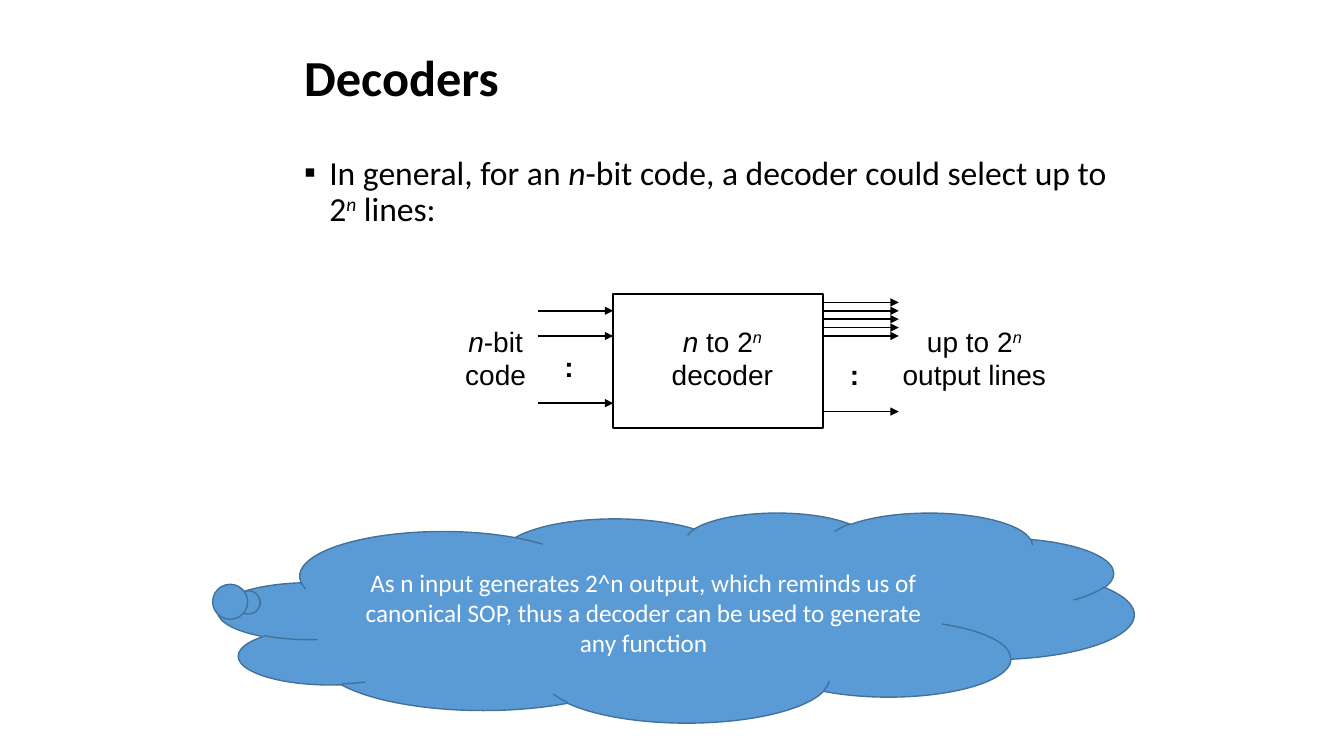
from pptx import Presentation
from pptx.dml.color import RGBColor
from pptx.enum.shapes import MSO_CONNECTOR, MSO_SHAPE
from pptx.enum.text import MSO_ANCHOR, MSO_AUTO_SIZE, PP_ALIGN
from pptx.oxml.ns import qn
from pptx.util import Emu, Pt
from lxml import etree

EMU_PER_PX = 9525
BLACK, WHITE = "000000", "FFFFFF"
CLOUD_BLUE, CLOUD_EDGE = "5B9BD5", "42719B"
HEAD_FONT, DIAGRAM_FONT = "Calibri", "Arial"
LEFT, CENTER = PP_ALIGN.LEFT, PP_ALIGN.CENTER
TOP, MIDDLE = MSO_ANCHOR.TOP, MSO_ANCHOR.MIDDLE
NO_FIT, GROW = MSO_AUTO_SIZE.NONE, MSO_AUTO_SIZE.SHAPE_TO_FIT_TEXT
RECTANGLE, CLOUD = MSO_SHAPE.RECTANGLE, MSO_SHAPE.CLOUD_CALLOUT
STRAIGHT = MSO_CONNECTOR.STRAIGHT
PLAIN, ITALIC, POWER = "plain", "italic", "power"


def px(length):
    """Turn whole pixels into EMU."""
    return Emu(length * EMU_PER_PX)


def paint(color_format, color):
    """Set a fill, line or font colour from a hex string."""
    color_format.rgb = RGBColor.from_string(color)


def place(shape, box):
    """Move a shape to the box (left, top, width, height)."""
    shape.left, shape.top, shape.width, shape.height = map(px, box)


def set_outline(shape, color, width):
    """Give a shape or connector a solid outline."""
    paint(shape.line.fill_format.fore_color if hasattr(shape.line, "fill_format")
          else shape.line.color, color)
    shape.line.width = Pt(width)


def write(shape, lines, font, size, color=BLACK, bold=False, align=LEFT,
          anchor=TOP, fit=NO_FIT, spacing=1.0):
    """Fill a shape with lines, each a list of (text, style) runs."""
    frame = shape.text_frame
    frame.word_wrap = True
    frame.auto_size = fit
    frame.vertical_anchor = anchor
    for index, line in enumerate(lines):
        para = frame.add_paragraph() if index else frame.paragraphs[0]
        para.alignment = align
        para.line_spacing = spacing
        para.space_before = Pt(0)
        for text, style in line:
            span = para.add_run()
            span.text = text
            span.font.name = font
            span.font.size = Pt(size)
            span.font.bold = bold
            span.font.italic = style in (ITALIC, POWER)
            paint(span.font.color, color)
            if style == POWER:
                span.font._element.set("baseline", "30000")


def add_bullet(para, symbol, indent):
    """Hang a black bullet symbol in front of a paragraph."""
    props = para._p.get_or_add_pPr()
    props.set("marL", str(px(indent)))
    props.set("indent", str(-px(indent)))
    bullet_color = etree.SubElement(props, qn("a:buClr"))
    etree.SubElement(bullet_color, qn("a:srgbClr"), val=BLACK)
    etree.SubElement(props, qn("a:buFont"), typeface=DIAGRAM_FONT)
    etree.SubElement(props, qn("a:buChar"), char=symbol)


def add_arrow(group, left, y, length):
    """Draw one signal arrow from left to right."""
    arrow = group.shapes.add_connector(
        STRAIGHT, px(left), px(y), px(left + length), px(y))
    set_outline(arrow, BLACK, 1.25)
    props = arrow._element.spPr
    etree.SubElement(arrow.line._get_or_add_ln(), qn("a:tailEnd"), type="triangle")
    etree.SubElement(props, qn("a:effectLst"))


def add_label(group, box, lines, bold=False, align=CENTER):
    """Add a text label to the diagram."""
    label = group.shapes.add_textbox(*map(px, box))
    write(label, lines, DIAGRAM_FONT, 20, bold=bold, align=align, fit=GROW)


def add_heading(page, box):
    """Set the slide title."""
    title = page.shapes.title
    place(title, box)
    write(title, [[("Decoders", PLAIN)]], HEAD_FONT, 36, bold=True,
          anchor=MIDDLE, spacing=0.9)


def add_statement(page, box):
    """Set the bulleted statement in the body placeholder."""
    body = page.placeholders[1]
    place(body, box)
    write(body, [[("In general, for an ", PLAIN), ("n", ITALIC),
                  ("-bit code, a decoder could select up to 2", PLAIN),
                  ("n", POWER), (" lines:", PLAIN)]],
          HEAD_FONT, 24, spacing=0.9)
    add_bullet(body.text_frame.paragraphs[0], "▪", 24)


def add_decoder(page, box):
    """Draw the decoder block with its input and output lines."""
    left, top, width, height = box
    group = page.shapes.add_group_shape()
    block_left, block_width, arrow_length = left + 168, 200, 72
    block = group.shapes.add_shape(
        RECTANGLE, px(block_left), px(top), px(block_width), px(height))
    block.shadow.inherit = False
    block.fill.background()
    set_outline(block, BLACK, 1.5)

    inputs = (block_left - arrow_length, (16, 40, 104))
    outputs = (block_left + block_width, (*range(8, 41, 8), 112))
    for start, offsets in (inputs, outputs):
        for offset in offsets:
            add_arrow(group, start, top + offset, arrow_length)
    for colon_left, colon_top in ((112, 48), (384, 56)):
        add_label(group, (left + colon_left, top + colon_top, 32, 41),
                  [[(":", PLAIN)]], bold=True, align=LEFT)

    labels = (
        (0, 112, [[("n", ITALIC), ("-bit", PLAIN)], [("code", PLAIN)]]),
        (192, 160, [[("n", ITALIC), (" to 2", PLAIN), ("n", POWER)],
                    [("decoder", PLAIN)]]),
        (width - 160, 160, [[("up to 2", PLAIN), ("n", POWER)],
                            [("output lines", PLAIN)]]),
    )
    for offset, label_width, lines in labels:
        add_label(group, (left + offset, top + 24, label_width, 74), lines)


def add_remark(page, box):
    """Add the cloud callout with the closing remark."""
    cloud = page.shapes.add_shape(CLOUD, *map(px, box))
    cloud.shadow.inherit = False
    cloud.adjustments[0], cloud.adjustments[1] = -0.46, -0.07
    cloud.fill.solid()
    paint(cloud.fill.fore_color, CLOUD_BLUE)
    set_outline(cloud, CLOUD_EDGE, 1)
    remark = ("As n input generates 2^n output, which reminds us of canonical SOP, "
              "thus a decoder can be used to generate any function")
    write(cloud, [[(remark, PLAIN)]], HEAD_FONT, 18, color=WHITE,
          align=CENTER, anchor=MIDDLE)


def main():
    """Build the decoder slide and save it."""
    deck = Presentation()
    deck.slide_width, deck.slide_height = px(1280), px(720)
    page = deck.slides.add_slide(deck.slide_layouts[1])
    add_heading(page, (280, 16, 816, 120))
    add_statement(page, (280, 144, 816, 88))
    add_decoder(page, (416, 280, 592, 128))
    add_remark(page, (208, 488, 872, 200))
    deck.save("out.pptx")


if __name__ == "__main__":
    main()
